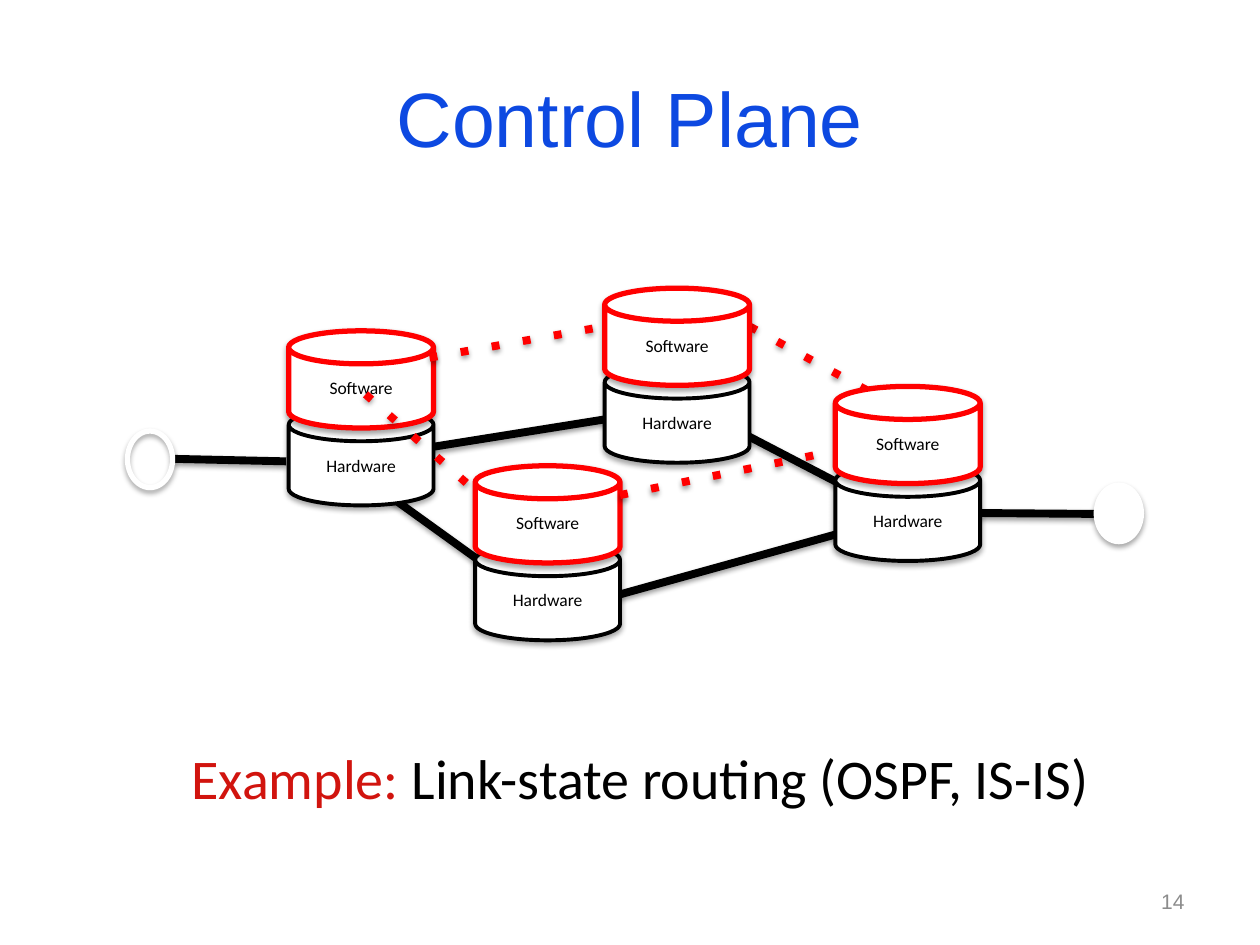
"""Builds the Control Plane slide: a routed network with a software layer above the hardware."""
from lxml import etree
from pptx import Presentation
from pptx.dml.color import RGBColor
from pptx.enum.shapes import MSO_CONNECTOR, MSO_SHAPE
from pptx.enum.text import MSO_ANCHOR, PP_ALIGN
from pptx.oxml.ns import qn
from pptx.util import Cm, Pt

STRAIGHT = MSO_CONNECTOR.STRAIGHT
CAN, OVAL = MSO_SHAPE.CAN, MSO_SHAPE.OVAL
MIDDLE = MSO_ANCHOR.MIDDLE
LEFT, CENTER, RIGHT = PP_ALIGN.LEFT, PP_ALIGN.CENTER, PP_ALIGN.RIGHT

COLORS = {
    "black": "000000",
    "white": "FFFFFF",
    "control": "FF0000",
    "title": "0D49E1",
    "accent": "D1140E",
    "number": "8C8C8C",
}
ROUTER_SIZE = (2.92, 1.96)
HOST_SIZE = (0.91, 1.14)
LAYER_RISE = 1.56
ROUTERS = {
    "west": (5.82, 8.23),
    "south": (9.58, 10.95),
    "north": (12.19, 7.37),
    "east": (16.84, 9.35),
}
DATA_LINKS = [
    (3.51, 9.25, 5.77, 9.3),
    (8.03, 9.12, 12.47, 8.41),
    (7.37, 9.65, 10.62, 11.99),
    (14.35, 8.41, 18.06, 10.34),
    (12.47, 11.99, 17.22, 10.67),
    (22.1, 10.36, 19.51, 10.34),
]
CONTROL_LINKS = [
    (8.66, 7.21, 12.19, 6.58),
    (15.11, 6.58, 17.63, 7.95),
    (7.37, 7.95, 9.6, 9.91),
]
FRONT_CONTROL_LINK = (12.5, 9.98, 16.84, 9.09)


class SlideBuilder:
    """Holds the slide and its style, with a method for each kind of element."""

    def __init__(self, slide):
        self.slide = slide

    def color(self, name):
        return RGBColor.from_string(COLORS[name])

    def outline(self, line, color, width):
        line.color.rgb = self.color(color)
        line.width = Pt(width)

    def shadow(self, shape, distance, opacity):
        properties = shape._element.spPr
        effects = properties.find(qn("a:effectLst"))
        if effects is None:
            effects = etree.SubElement(properties, qn("a:effectLst"))
        outer = etree.SubElement(
            effects, qn("a:outerShdw"), blurRad=str(Pt(3.1)),
            dist=str(Pt(distance)), dir="5400000", rotWithShape="0")
        color = etree.SubElement(outer, qn("a:srgbClr"), val=COLORS["black"])
        etree.SubElement(color, qn("a:alpha"), val=str(opacity * 1000))

    def set_text(self, paragraph, text, size, color, font="Calibri", align=CENTER):
        paragraph.text = text
        paragraph.alignment = align
        paragraph.font.name = font
        paragraph.font.size = Pt(size)
        paragraph.font.color.rgb = self.color(color)

    def title(self, text):
        title = self.slide.shapes.title
        title.left, title.top, title.width, title.height = (
            Cm(1.27), Cm(0.76), Cm(22.86), Cm(3.18))
        title.text_frame.vertical_anchor = MIDDLE
        self.set_text(title.text_frame.paragraphs[0], text, 44, "title", "Arial")

    def link(self, ends, color="black", dotted=False):
        connector = self.slide.shapes.add_connector(STRAIGHT, *map(Cm, ends))
        self.outline(connector.line, color, 4.5)
        if dotted:
            line = connector._element.spPr.find(qn("a:ln"))
            etree.SubElement(line, qn("a:prstDash"), val="dot")
        self.shadow(connector, 1.6, 38)

    def shape(self, kind, position, size, line, width, filled=True):
        shape = self.slide.shapes.add_shape(kind, *map(Cm, position + size))
        shape.shadow.inherit = False
        if filled:
            shape.fill.solid()
            shape.fill.fore_color.rgb = self.color("white")
        else:
            shape.fill.background()
        self.outline(shape.line, line, width)
        self.shadow(shape, 1.8, 35)
        return shape

    def host(self, position, filled):
        self.shape(OVAL, position, HOST_SIZE, "white", 3, filled)

    def layer(self, position, label, line, width):
        can = self.shape(CAN, position, ROUTER_SIZE, line, width)
        can.adjustments[0] = 0.34
        can.text_frame.vertical_anchor = MIDDLE
        self.set_text(can.text_frame.paragraphs[0], label, 10, "black")

    def hardware(self, router):
        self.layer(ROUTERS[router], "Hardware", "black", 2.25)

    def software(self, router):
        left, top = ROUTERS[router]
        self.layer((left, top - LAYER_RISE), "Software", "control", 3)

    def text_box(self, left, top, width, height, wrap=True):
        box = self.slide.shapes.add_textbox(Cm(left), Cm(top), Cm(width), Cm(height))
        box.text_frame.word_wrap = wrap
        return box.text_frame

    def page_number(self, number):
        frame = self.text_box(18.2, 17.65, 5.93, 1.02)
        frame.vertical_anchor = MIDDLE
        self.set_text(frame.paragraphs[0], number, 12, "number", "Arial", RIGHT)

    def caption(self, lead, text):
        paragraph = self.text_box(3.61, 14.86, 19.02, 1.63, wrap=False).paragraphs[0]
        self.set_text(paragraph, "", 32, "black", align=LEFT)
        for words, color in ((lead, "accent"), (text, "black")):
            run = paragraph.add_run()
            run.text = words
            run.font.color.rgb = self.color(color)


def main():
    presentation = Presentation()
    presentation.slide_width, presentation.slide_height = Cm(25.4), Cm(19.05)
    builder = SlideBuilder(presentation.slides.add_slide(presentation.slide_layouts[5]))

    builder.title("Control Plane")
    for ends in DATA_LINKS:
        builder.link(ends)
    builder.host((22.1, 9.78), filled=True)
    builder.host((2.57, 8.69), filled=False)
    for router in ROUTERS:
        builder.hardware(router)

    builder.software("west")
    for ends in CONTROL_LINKS:
        builder.link(ends, "control", dotted=True)
    for router in ("north", "east", "south"):
        builder.software(router)
    builder.link(FRONT_CONTROL_LINK, "control", dotted=True)

    builder.caption("Example: ", "Link-state routing (OSPF, IS-IS)")
    builder.page_number("14")
    presentation.save("out.pptx")


if __name__ == "__main__":
    main()
